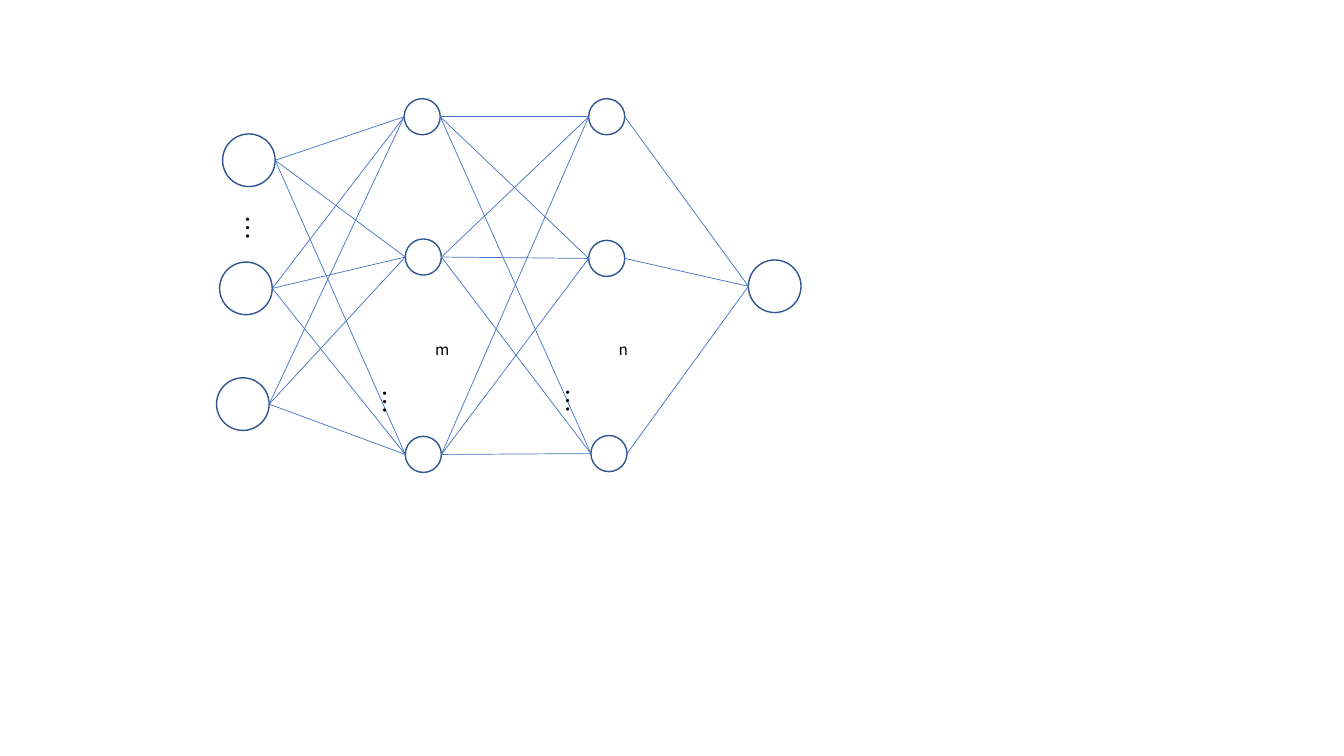
from pptx import Presentation
from pptx.dml.color import RGBColor
from pptx.enum.shapes import MSO_CONNECTOR, MSO_SHAPE
from pptx.enum.text import MSO_AUTO_SIZE
from pptx.oxml.ns import qn
from pptx.util import Pt
from lxml import etree

OVAL = MSO_SHAPE.OVAL
STRAIGHT = MSO_CONNECTOR.STRAIGHT
GROW = MSO_AUTO_SIZE.SHAPE_TO_FIT_TEXT
NODE_LINE = RGBColor(0x32, 0x54, 0x91)
EDGE_LINE = RGBColor(0x44, 0x72, 0xC4)
BLACK = RGBColor(0, 0, 0)
FONT = "Noto Sans CJK SC"

# Each layer: node diameter and node centres
LAYERS = [
    (37.6, [(177.8, 114.5), (175.7, 206), (173.5, 288.7)]),
    (25.8, [(301.6, 83.4), (302.4, 183.6), (302.4, 324.6)]),
    (25.8, [(433.4, 83.4), (433.4, 184.6), (435, 324)]),
    (37.6, [(553.4, 204.5)]),
]
# Text, centre, box size, font size, rotation
LABELS = [
    ("…", (177.8, 160.6), (27.4, 28.8), 18, 90),
    ("…", (275, 284.8), (27.4, 28.8), 18, 90),
    ("…", (406.2, 284), (27.4, 28.8), 18, 90),
    ("m", (315.7, 249.5), (23.8, 20.9), 11, 0),
    ("n", (445.3, 249.5), (20.9, 20.9), 11, 0),
]

presentation = Presentation()
presentation.slide_width = Pt(960)
presentation.slide_height = Pt(540)
slide = presentation.slides.add_slide(presentation.slide_layouts[6])

for diameter, centres in LAYERS:
    for x, y in centres:
        node = slide.shapes.add_shape(
            OVAL, Pt(x - diameter / 2), Pt(y - diameter / 2), Pt(diameter), Pt(diameter))
        node.shadow.inherit = False
        node.fill.background()
        node.line.color.rgb = NODE_LINE
        node.line.width = Pt(1)

# Every node is joined to every node of the next layer
for (diameter, sources), (next_diameter, targets) in zip(LAYERS, LAYERS[1:]):
    for start_x, start_y in sources:
        for end_x, end_y in targets:
            edge = slide.shapes.add_connector(
                STRAIGHT, Pt(start_x + diameter / 2), Pt(start_y),
                Pt(end_x - next_diameter / 2), Pt(end_y))
            edge.line.color.rgb = EDGE_LINE
            edge.line.width = Pt(0.5)
            etree.SubElement(edge.element.spPr, qn("a:effectLst"))

for text, (x, y), (width, height), size, rotation in LABELS:
    label = slide.shapes.add_textbox(
        Pt(x - width / 2), Pt(y - height / 2), Pt(width), Pt(height))
    label.rotation = rotation
    text_frame = label.text_frame
    text_frame.word_wrap = False
    text_frame.auto_size = GROW
    text_frame.text = text
    font = text_frame.paragraphs[0].runs[0].font
    font.name = FONT
    font.size = Pt(size)
    font.color.rgb = BLACK

presentation.save("out.pptx")
